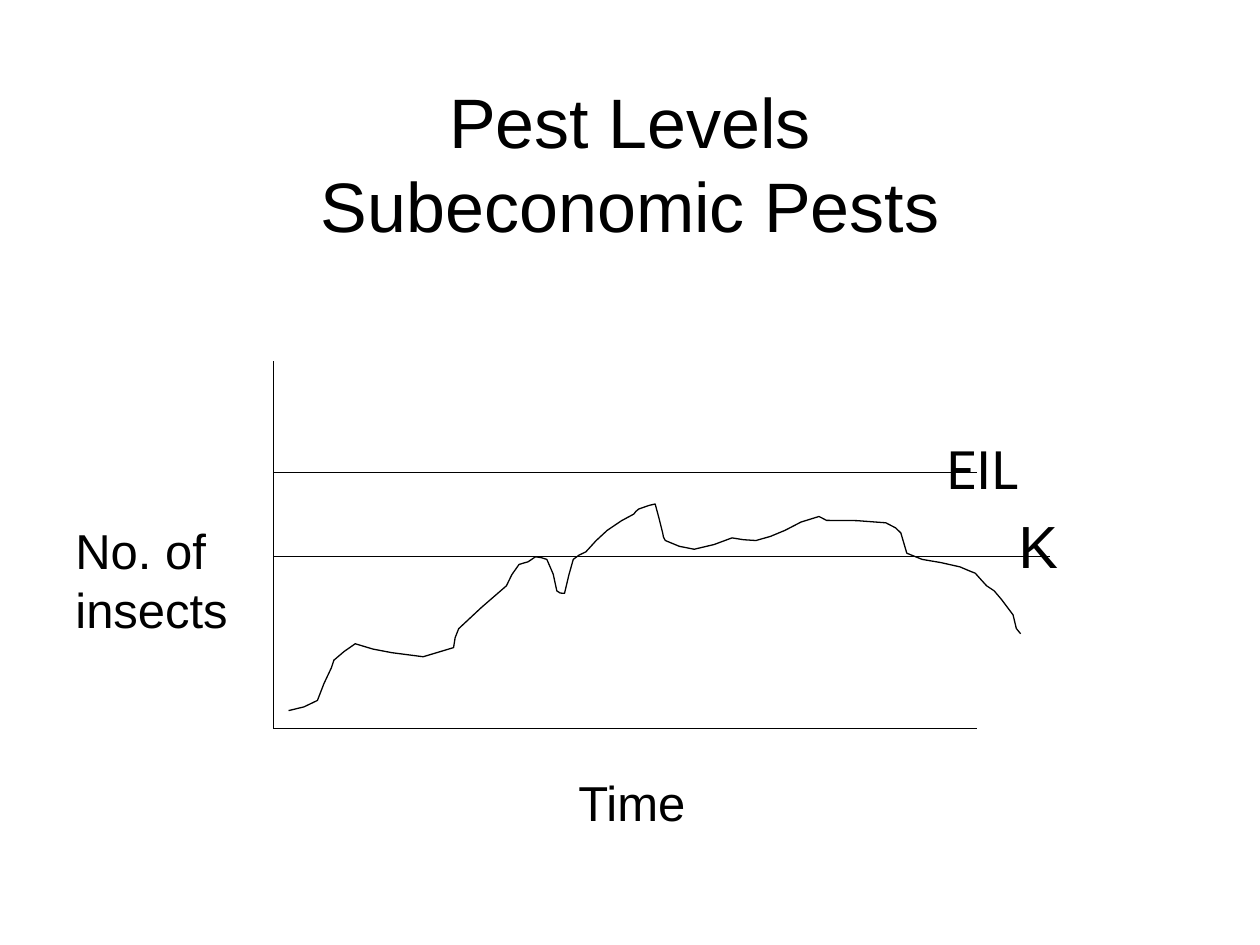
from lxml.etree import SubElement
from pptx import Presentation
from pptx.dml.color import RGBColor
from pptx.enum.shapes import MSO_CONNECTOR as Connector
from pptx.enum.text import MSO_ANCHOR as Anchor, MSO_AUTO_SIZE as AutoSize, PP_ALIGN as Align
from pptx.oxml.ns import qn
from pptx.util import Pt

COLORS = {"ink": "000000", "paper": "FFFFFF"}
LINE_WIDTH = 0.75
CURVE_STEPS = 2

# Lines of text, (left, top, width, height), size, font, wraps
TITLE = (["Pest Levels", "Subeconomic Pests"], (54, 48, 612, 90), 40, "Arial", True)
LABELS = [
    (["EIL"], (533.5, 246.2, 57, 43), 30, "Lato", False),
    (["No. of insects"], (36, 294, 115, 75), 28, "Arial", True),
    (["Time"], (323.5, 438, 76.3, 41), 28, "Arial", False),
    (["K"], (574.8, 287.3, 36.7, 48), 34, "Arial", False),
]

AXIS_X, AXIS_TOP, AXIS_Y, AXIS_RIGHT = 156.2, 206.5, 416.4, 558
EIL_Y = 270
K_Y, K_RIGHT = 318, 600
LINES = [
    (AXIS_X, AXIS_TOP, AXIS_X, AXIS_Y),
    (AXIS_X, AXIS_Y, AXIS_RIGHT, AXIS_Y),
    (AXIS_X, EIL_Y, AXIS_RIGHT, EIL_Y),
    (AXIS_X, K_Y, K_RIGHT, K_Y),
]

# Pest population: a start, then Bezier pieces (control, control, end)
POPULATION_START = (164.9, 406.1)
POPULATION = [
    ((172.1, 404.6), (175.7, 403.9), (181.4, 400.3)),
    ((184.3, 393.8), (185.8, 387.4), (189.4, 381.6)),
    ((190.1, 380.2), (190.1, 378.7), (190.8, 377.3)),
    ((192.2, 375.1), (200.9, 369.4), (203, 367.9)),
    ((209.5, 370.8), (216.7, 371.5), (223.9, 373)),
    ((235.4, 376.6), (248.4, 376.6), (259.2, 370.1)),
    ((259.9, 366.5), (259.9, 362.2), (262.1, 359.3)),
    ((268.6, 348.5), (281.5, 345.6), (289.4, 334.8)),
    ((290.9, 331.2), (293.8, 325.4), (296.6, 322.6)),
    ((298.1, 321.8), (300.2, 321.8), (301.7, 321.1)),
    ((303.1, 320.4), (304.6, 319), (306, 318.2)),
    ((308.2, 319), (310.3, 318.2), (312.5, 319.7)),
    ((318.2, 323.3), (314.6, 332.6), (318.2, 337.7)),
    ((319, 339.1), (321.1, 339.1), (322.6, 339.1)),
    ((324, 335.5), (326.2, 321.1), (327.6, 319.7)),
    ((329, 317.5), (332.6, 316.8), (334.8, 315.4)),
    ((339.1, 311.8), (342, 306), (347, 303.1)),
    ((357.8, 295.9), (352.8, 298.8), (362.2, 293.8)),
    ((362.9, 293), (363.6, 291.6), (365, 290.9)),
    ((367.9, 289.4), (374.4, 288), (374.4, 288)),
    ((375.8, 293), (377.3, 298.8), (378.7, 304.6)),
    ((379.4, 306), (378.7, 308.2), (380.2, 308.9)),
    ((383.8, 311.8), (392.4, 313.2), (396.7, 313.9)),
    ((406.8, 312.5), (409.7, 310.3), (418.3, 307.4)),
    ((422.6, 308.2), (427, 308.9), (432, 308.9)),
    ((437, 308.9), (443.5, 304.6), (448.6, 303.1)),
    ((454.3, 298.8), (460.8, 297.4), (468, 295.2)),
    ((469.4, 295.9), (470.9, 296.6), (472.3, 297.4)),
    ((483.8, 298.1), (495.4, 296.6), (506.2, 298.8)),
    ((509.8, 298.8), (514.8, 304.6), (514.8, 304.6)),
    ((519.8, 318.2), (514.8, 316.8), (527, 319.7)),
    ((534.2, 321.1), (541.4, 321.8), (548.6, 324)),
    ((551.5, 325.4), (557.3, 327.6), (557.3, 327.6)),
    ((559.4, 329.8), (561.6, 332.6), (563.8, 334.8)),
    ((572.4, 343.4), (563.8, 331.2), (572.4, 342.7)),
    ((574.6, 345.6), (578.9, 351.4), (578.9, 351.4)),
    ((581.8, 361.4), (579.6, 358.6), (583.2, 362.2)),
]


def color(name):
    return RGBColor.from_string(COLORS[name])


def style_line(line):
    line.width = Pt(LINE_WIDTH)
    line.color.rgb = color("ink")


def add_text(slide, lines, box, size, font, wraps):
    frame = slide.shapes.add_textbox(*map(Pt, box)).text_frame
    frame.word_wrap = wraps
    frame.auto_size = AutoSize.NONE
    paragraph = frame.paragraphs[0]
    for index, words in enumerate(lines):
        if index:
            paragraph.add_line_break()
        run = paragraph.add_run()
        run.text = words
        run.font.size = Pt(size)
        run.font.name = font
        run.font.color.rgb = color("ink")
    return frame


def add_line(slide, ends):
    line = slide.shapes.add_connector(Connector.STRAIGHT, *map(Pt, ends))
    style_line(line.line)
    SubElement(line._element.spPr, qn("a:effectLst"))


def bezier_points(start, pieces):
    """Sample each cubic piece at equal steps, leaving out its first point."""
    for first, second, end in pieces:
        for step in range(1, CURVE_STEPS + 1):
            t = step / CURVE_STEPS
            u = 1 - t
            yield tuple(
                Pt(u**3 * a + 3 * u * u * t * b + 3 * u * t * t * c + t**3 * d)
                for a, b, c, d in zip(start, first, second, end)
            )
        start = end


def add_population(slide):
    builder = slide.shapes.build_freeform(*map(Pt, POPULATION_START))
    builder.add_line_segments(bezier_points(POPULATION_START, POPULATION), close=False)
    curve = builder.convert_to_shape()
    curve.shadow.inherit = False
    curve.fill.background()
    style_line(curve.line)


def main():
    deck = Presentation()
    deck.slide_width, deck.slide_height = Pt(720), Pt(540)
    slide = deck.slides.add_slide(deck.slide_layouts[6])
    slide.background.fill.solid()
    slide.background.fill.fore_color.rgb = color("paper")

    title = add_text(slide, *TITLE)
    title.vertical_anchor = Anchor.MIDDLE
    title.paragraphs[0].alignment = Align.CENTER
    for ends in LINES:
        add_line(slide, ends)
    add_population(slide)
    for label in LABELS:
        add_text(slide, *label)

    deck.save("out.pptx")


if __name__ == "__main__":
    main()
